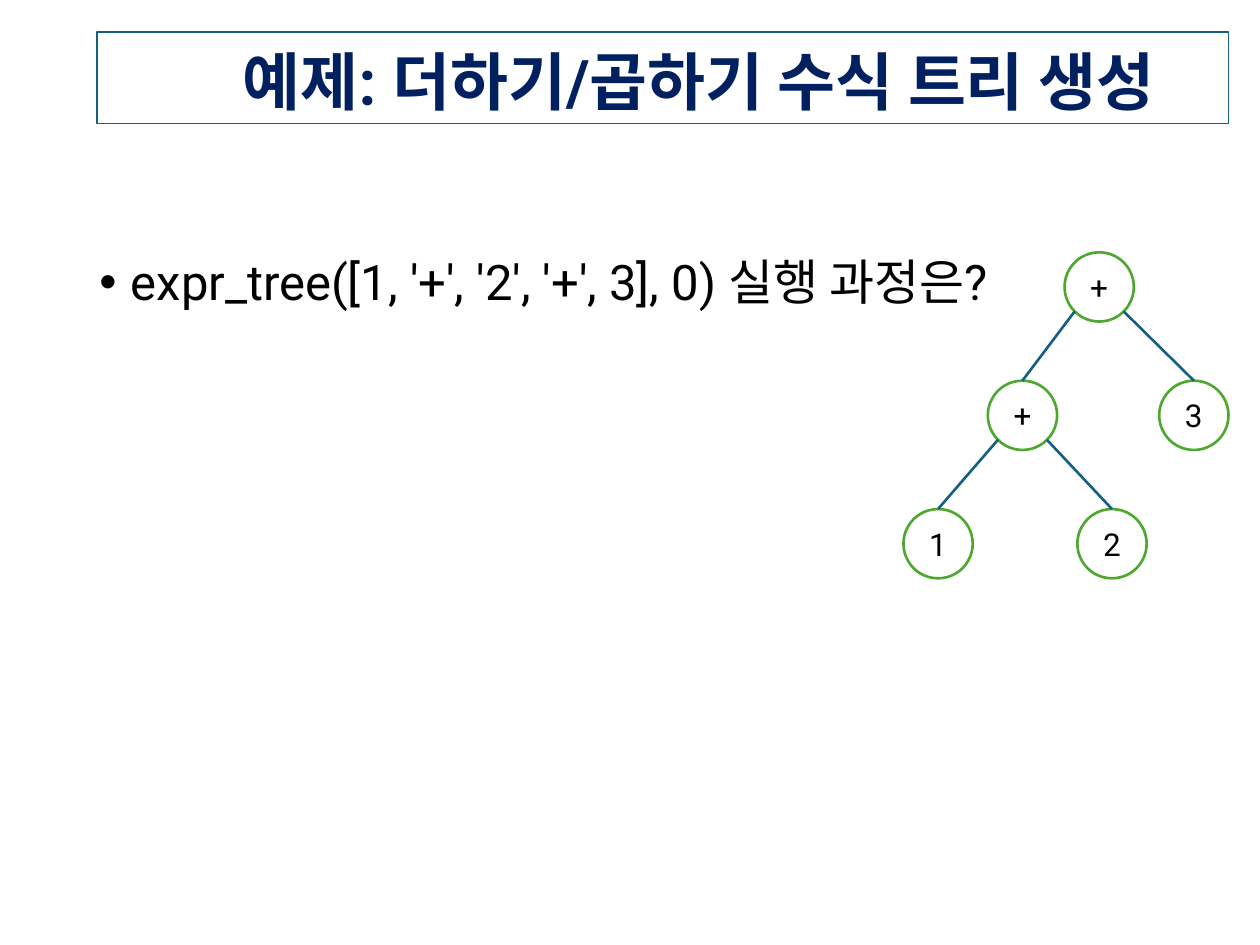
from lxml import etree
from pptx import Presentation
from pptx.dml.color import RGBColor
from pptx.enum.shapes import MSO_CONNECTOR, MSO_SHAPE
from pptx.enum.text import MSO_ANCHOR, MSO_AUTO_SIZE, PP_ALIGN
from pptx.oxml.ns import qn
from pptx.util import Inches, Pt

RECT, OVAL, LINE = MSO_SHAPE.RECTANGLE, MSO_SHAPE.OVAL, MSO_CONNECTOR.STRAIGHT
MIDDLE = MSO_ANCHOR.MIDDLE
CENTER, LEFT, RIGHT = PP_ALIGN.CENTER, PP_ALIGN.LEFT, PP_ALIGN.RIGHT
GROW = MSO_AUTO_SIZE.SHAPE_TO_FIT_TEXT
FONT = "Roboto"
COLORS = {"title": "002060", "text": "000000", "edge": "156082",
          "node": "4EA72E", "paper": "FFFFFF"}
WIDTH, HEIGHT = 10, 7.5
NODE = 0.55  # circle diameter in inches

# Tree: name -> (label, share of the free width, level)
NODES = {"root": ("+", 0.63, 0), "sum": ("+", 0.33, 1), "three": ("3", 1, 1),
         "one": ("1", 0, 2), "two": ("2", 0.68, 2)}
EDGES = [("sum", "root", "left"), ("three", "root", "right"),
         ("one", "sum", "left"), ("two", "sum", "right")]


def color(name):
    return RGBColor.from_string(COLORS[name])


def share(x, y, w, h):
    """Turn shares of the slide's size into a box in inches."""
    return x * WIDTH, y * HEIGHT, w * WIDTH, h * HEIGHT


def set_line(sp, name, width):
    sp.line.color.rgb = color(name)
    sp.line.width = Pt(width)


def add_shape(s, kind, box, line, width, fill=None):
    sp = s.shapes.add_shape(kind, *map(Inches, box))
    sp.shadow.inherit = False
    if fill:
        sp.fill.solid()
        sp.fill.fore_color.rgb = color(fill)
    else:
        sp.fill.background()
    set_line(sp, line, width)
    return sp


def write(tf, text, size, align, name="text", bold=False, **paragraph):
    p = tf.paragraphs[0]
    for key, value in {"alignment": align, **paragraph}.items():
        setattr(p, key, value)
    r = p.add_run()
    r.text = text
    for key, value in {"name": FONT, "size": Pt(size), "bold": bold}.items():
        setattr(r.font, key, value)
    r.font.color.rgb = color(name)
    return p


def add_title(s, box, text):
    tf = add_shape(s, RECT, box, "edge", 0.75).text_frame
    frame = {"margin_left": Inches(0.59), "margin_right": Inches(0.59),
             "margin_top": Inches(0.12), "margin_bottom": 0,
             "vertical_anchor": MIDDLE, "word_wrap": False, "auto_size": GROW}
    for key, value in frame.items():
        setattr(tf, key, value)
    write(tf, text, 36, RIGHT, "title", True, line_spacing=0.9)


def add_question(s, box, text):
    tf = s.shapes.add_textbox(*map(Inches, box)).text_frame
    tf.word_wrap = True
    p = write(tf, text, 28, LEFT, line_spacing=0.9)
    # Hanging bullet
    pPr = p._p.get_or_add_pPr()
    pPr.set("marL", str(Inches(0.25)))
    pPr.set("indent", str(Inches(-0.25)))
    etree.SubElement(pPr, qn("a:buFont")).set("typeface", "Arial")
    etree.SubElement(pPr, qn("a:buChar")).set("char", "•")


def add_tree(s, box):
    left, top, width, height = box
    levels = max(level for _, _, level in NODES.values())
    circles = {}
    # Nodes
    for name, (label, x, level) in NODES.items():
        spot = (left + x * (width - NODE),
                top + level * (height - NODE) / levels, NODE, NODE)
        sp = add_shape(s, OVAL, spot, "node", 1.5, "paper")
        sp.text_frame.vertical_anchor = MIDDLE
        write(sp.text_frame, label, 18, CENTER)
        circles[name] = sp
    # Edges, from the top of a child to the lower diagonal of its parent
    diagonal = 0.5 ** 0.5 / 2
    for child, parent, side in EDGES:
        up = circles[parent]
        across = 0.5 - diagonal if side == "left" else 0.5 + diagonal
        end_x = up.left + int(across * up.width)
        end_y = up.top + int((0.5 + diagonal) * up.height)
        edge = s.shapes.add_connector(LINE, 0, 0, end_x, end_y)
        edge.begin_connect(circles[child], 0)
        set_line(edge, "edge", 1.5)
        etree.SubElement(edge._element.spPr, qn("a:effectLst"))


def main():
    prs = Presentation()
    prs.slide_width, prs.slide_height = Inches(WIDTH), Inches(HEIGHT)
    s = prs.slides.add_slide(prs.slide_layouts[6])
    add_title(s, share(0.077, 0.034, 0.898, 0.097),
              "예제: 더하기/곱하기 수식 트리 생성")
    add_question(s, share(0.069, 0.267, 0.931, 0.635),
                 "expr_tree([1, '+', '2', '+', 3], 0) 실행 과정은?")
    add_tree(s, share(0.717, 0.267, 0.258, 0.345))
    prs.save("out.pptx")


if __name__ == "__main__":
    main()
